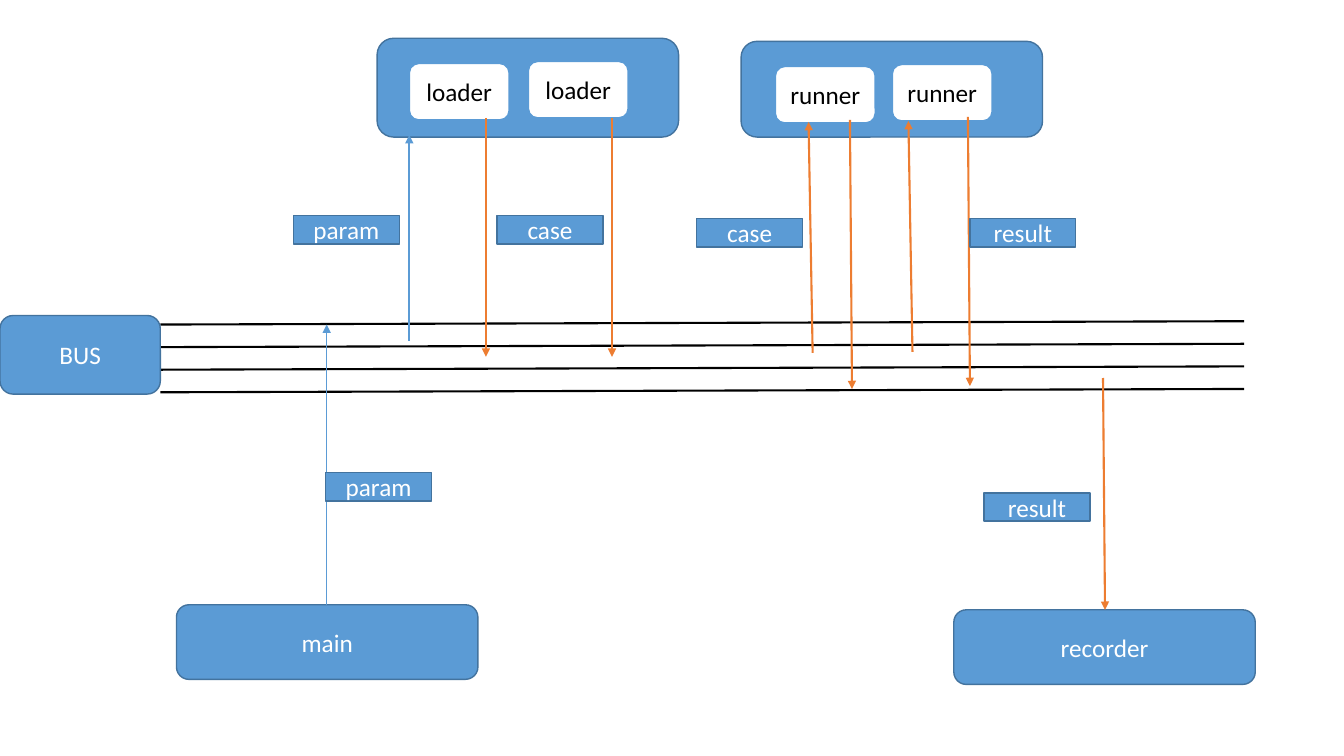
from lxml import etree
from pptx import Presentation
from pptx import util as u
from pptx.dml.color import RGBColor
from pptx.enum import shapes, text
from pptx.oxml.ns import qn

COLORS = {
    "blue": "5B9BD5",
    "edge": "43739E",
    "orange": "ED7D31",
    "black": "000000",
    "white": "FFFFFF",
}
CELL = 0.1
ROUNDED = shapes.MSO_SHAPE.ROUNDED_RECTANGLE
RECTANGLE = shapes.MSO_SHAPE.RECTANGLE


def grid(cells):
    return u.Inches(cells * CELL)


def rgb(name):
    return RGBColor.from_string(COLORS[name])


def write(box, words, color="white", size=18, font="Calibri"):
    frame = box.text_frame
    frame.word_wrap = True
    frame.vertical_anchor = text.MSO_ANCHOR.MIDDLE
    para = frame.paragraphs[0]
    para.alignment = text.PP_ALIGN.CENTER
    span = para.add_run()
    span.text = words
    span.font.size = u.Pt(size)
    span.font.name = font
    span.font.color.rgb = rgb(color)


def add_box(page, column, row, columns, rows, words="", kind=ROUNDED,
            fill="blue", edge="edge", color="white"):
    box = page.shapes.add_shape(kind, *map(grid, (column, row, columns, rows)))
    box.shadow.inherit = False
    box.fill.solid()
    box.fill.fore_color.rgb = rgb(fill)
    box.line.color.rgb = rgb(edge)
    box.line.width = u.Pt(1)
    if words:
        write(box, words, color)


def add_label(page, column, row, words):
    add_box(page, column, row, 10.5, 2.8, words, kind=RECTANGLE)


def add_worker(page, column, row, words):
    add_box(page, column, row, 9.9, 5.6, words,
            fill="white", edge="blue", color="black")


def add_line(page, start, end, color="orange", width=1.5, arrow=True):
    line = page.shapes.add_connector(
        shapes.MSO_CONNECTOR.STRAIGHT, *map(grid, (*start, *end)))
    line.line.color.rgb = rgb(color)
    line.line.width = u.Pt(width)
    if arrow:
        outline = line.line._get_or_add_ln()
        etree.SubElement(outline, qn("a:tailEnd"), type="triangle")
    etree.SubElement(line._element.spPr, qn("a:effectLst"))


def add_bus(page):
    for track in range(4):
        row = 32.2 + track * 2.24
        add_line(page, (15.9, row), (123.4, row - 0.33), "black", arrow=False)
    add_box(page, 0, 31.3, 15.9, 7.8, "BUS")


def add_loaders(page):
    add_box(page, 37.4, 3.8, 29.9, 9.8)
    add_line(page, (40.6, 33.8), (40.6, 13.4), "blue")
    add_label(page, 29.1, 21.4, "param")
    add_label(page, 49.3, 21.4, "case")
    add_worker(page, 40.6, 6.3, "loader")
    add_worker(page, 52.4, 6.1, "loader")
    for column in (48.2, 60.7):
        add_line(page, (column, 11.7), (column, 35.4))


def add_runners(page):
    add_box(page, 73.5, 4.1, 29.9, 9.5)
    add_label(page, 69.1, 21.7, "case")
    add_worker(page, 76.9, 6.6, "runner")
    add_worker(page, 88.5, 6.4, "runner")
    for column, row in ((80.6, 35), (90.5, 34.9)):
        add_line(page, (column, row), (column - 0.4, row - 22.9))
    for column, row in ((84.3, 11.9), (96, 11.6)):
        add_line(page, (column, row), (column + 0.2, row + 26.7))
    add_label(page, 96.2, 21.7, "result")


def add_recorder(page):
    add_box(page, 94.6, 60.5, 29.9, 7.4, "recorder")
    add_line(page, (109.4, 37.5), (109.6, 60.5))
    add_label(page, 97.6, 48.9, "result")


def add_main_process(page):
    add_box(page, 17.5, 60, 29.9, 7.4, "main")
    add_line(page, (32.4, 60), (32.4, 32.2), "blue", width=0.5)
    add_label(page, 32.3, 46.9, "param")


def main():
    deck = Presentation()
    deck.slide_width = u.Inches(13.33)
    deck.slide_height = u.Inches(7.5)
    page = deck.slides.add_slide(deck.slide_layouts.get_by_name("Blank"))
    add_bus(page)
    add_loaders(page)
    add_runners(page)
    add_recorder(page)
    add_main_process(page)
    deck.save("out.pptx")


main()
